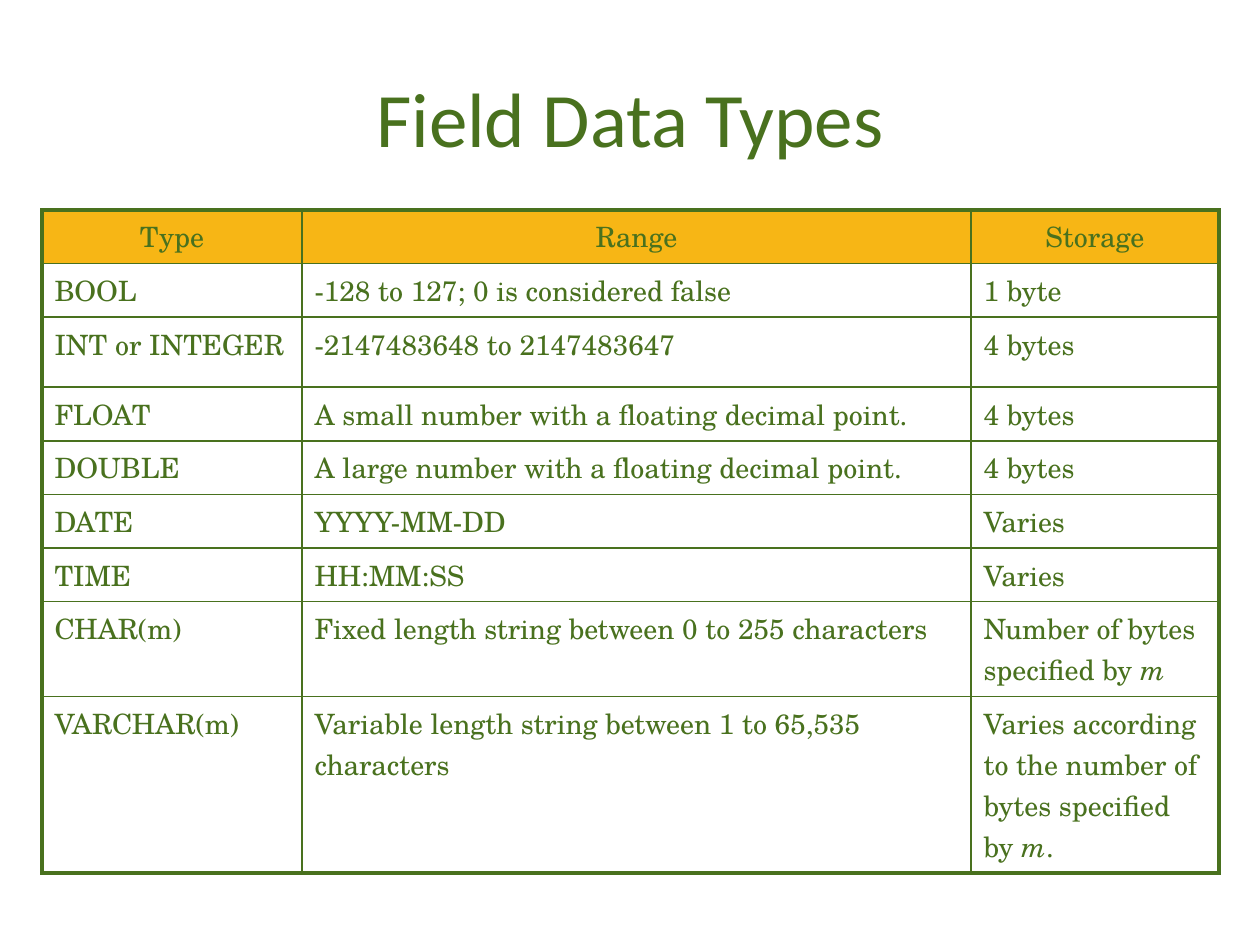
"""Build a slide with a table of field data types."""
from lxml.etree import SubElement as Sub
from pptx import Presentation
from pptx.dml.color import RGBColor
from pptx.enum.text import MSO_ANCHOR as Anchor, PP_ALIGN as Align
from pptx.oxml.ns import qn
from pptx.util import Emu, Pt

GREEN = RGBColor(0x49, 0x71, 0x1E)
GOLD = RGBColor(0xF7, 0xB6, 0x15)
WIDTHS = [260, 669, 248]
HEIGHTS = [53, 53, 70, 48, 50, 53, 53, 62, 70]
ROWS = [
    ("Type", "Range", "Storage"),
    ("BOOL", "-128 to 127; 0 is considered false", "1 byte"),
    ("INT or INTEGER", "-2147483648 to 2147483647", "4 bytes"),
    ("FLOAT", "A small number with a floating decimal point.", "4 bytes"),
    ("DOUBLE", "A large number with a floating decimal point.", "4 bytes"),
    ("DATE", "YYYY-MM-DD", "Varies"),
    ("TIME", "HH:MM:SS", "Varies"),
    ("CHAR(m)", "Fixed length string between 0 to 255 characters",
     "Number of bytes specified by *m*"),
    ("VARCHAR(m)", "Variable length string between 1 to 65,535 characters",
     "Varies according to the number of bytes specified by *m*."),
]


def px(count):
    return Emu(round(count * 914400 / 126))


def edge(cell, side, outer):
    line = Sub(cell._tc.get_or_add_tcPr(), qn(f"a:ln{side}"))
    line.set("w", str(Pt(2.25 if outer else 1)))
    fill = Sub(line, qn("a:solidFill"))
    Sub(fill, qn("a:srgbClr")).set("val", str(GREEN))


deck = Presentation()
deck.slide_width, deck.slide_height = px(1260), px(945)
slide = deck.slides.add_slide(deck.slide_layouts[5])

title = slide.shapes.title
title.left, title.top, title.width, title.height = map(px, (63, 38, 1134, 158))
title.text_frame.text = "Field Data Types"
title.text_frame.vertical_anchor = Anchor.MIDDLE
head = title.text_frame.paragraphs[0]
head.alignment = Align.CENTER
head.font.name, head.font.size = "Calibri", Pt(44)
head.font.color.rgb = GREEN

table = slide.shapes.add_table(
    len(ROWS), len(WIDTHS), px(42), px(210), px(sum(WIDTHS)), px(sum(HEIGHTS))
).table
table.first_row = table.horz_banding = False
for col, width in zip(table.columns, WIDTHS):
    col.width = px(width)
for row, height in zip(table.rows, HEIGHTS):
    row.height = px(height)

for r, row in enumerate(ROWS):
    for c, text in enumerate(row):
        cell = table.cell(r, c)
        edge(cell, "L", c == 0)
        edge(cell, "R", c == len(WIDTHS) - 1)
        edge(cell, "T", r == 0)
        edge(cell, "B", r == len(ROWS) - 1)
        para = cell.text_frame.paragraphs[0]
        para.font.name, para.font.size = "TeX Gyre Schola", Pt(16)
        para.font.color.rgb = GREEN
        for i, part in enumerate(text.split("*")):
            if part:
                run = para.add_run()
                run.text = part
                if i % 2:
                    run.font.italic = True
        if r == 0:
            para.alignment = Align.CENTER
            cell.fill.solid()
            cell.fill.fore_color.rgb = GOLD
        else:
            cell.fill.background()

deck.save("out.pptx")
